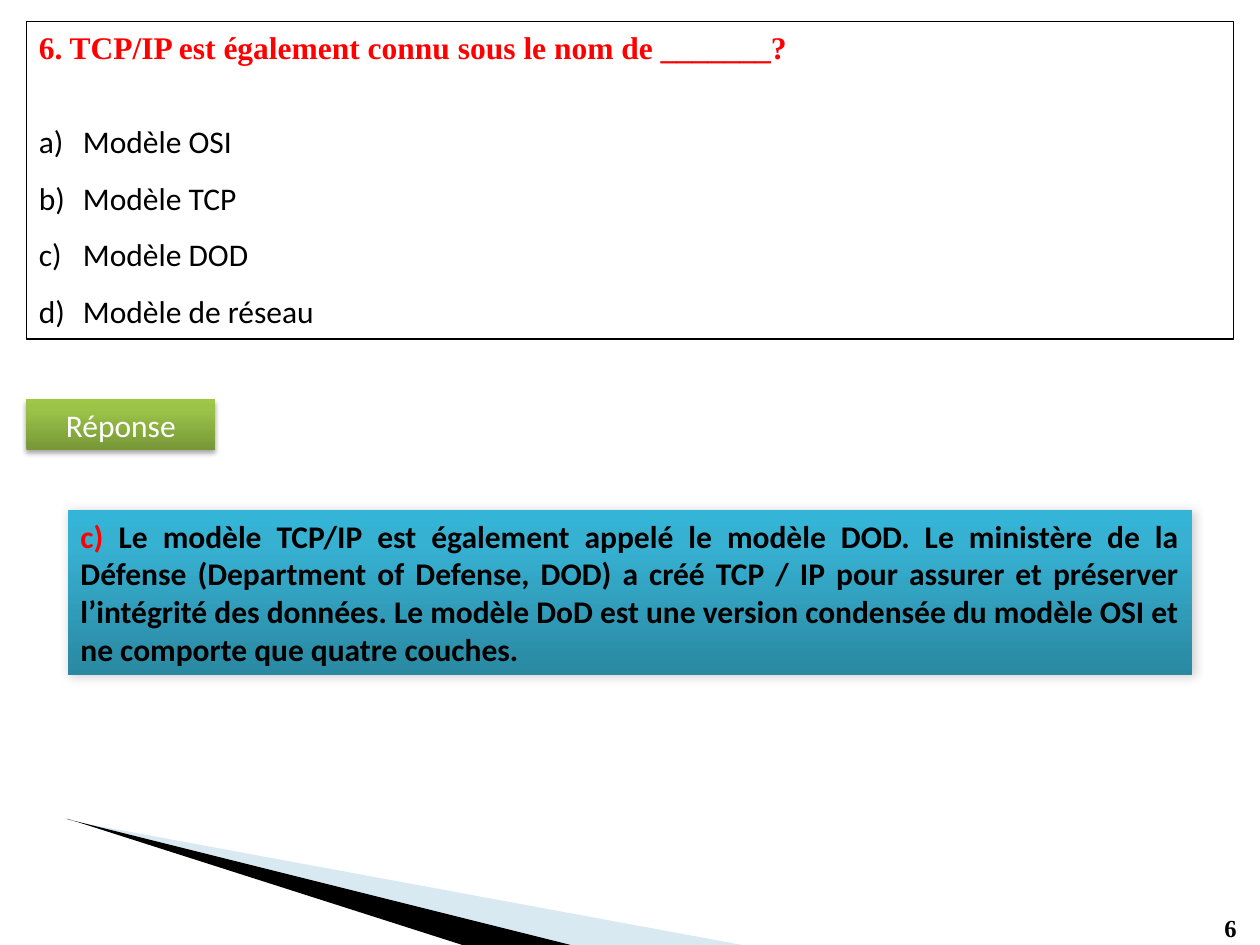
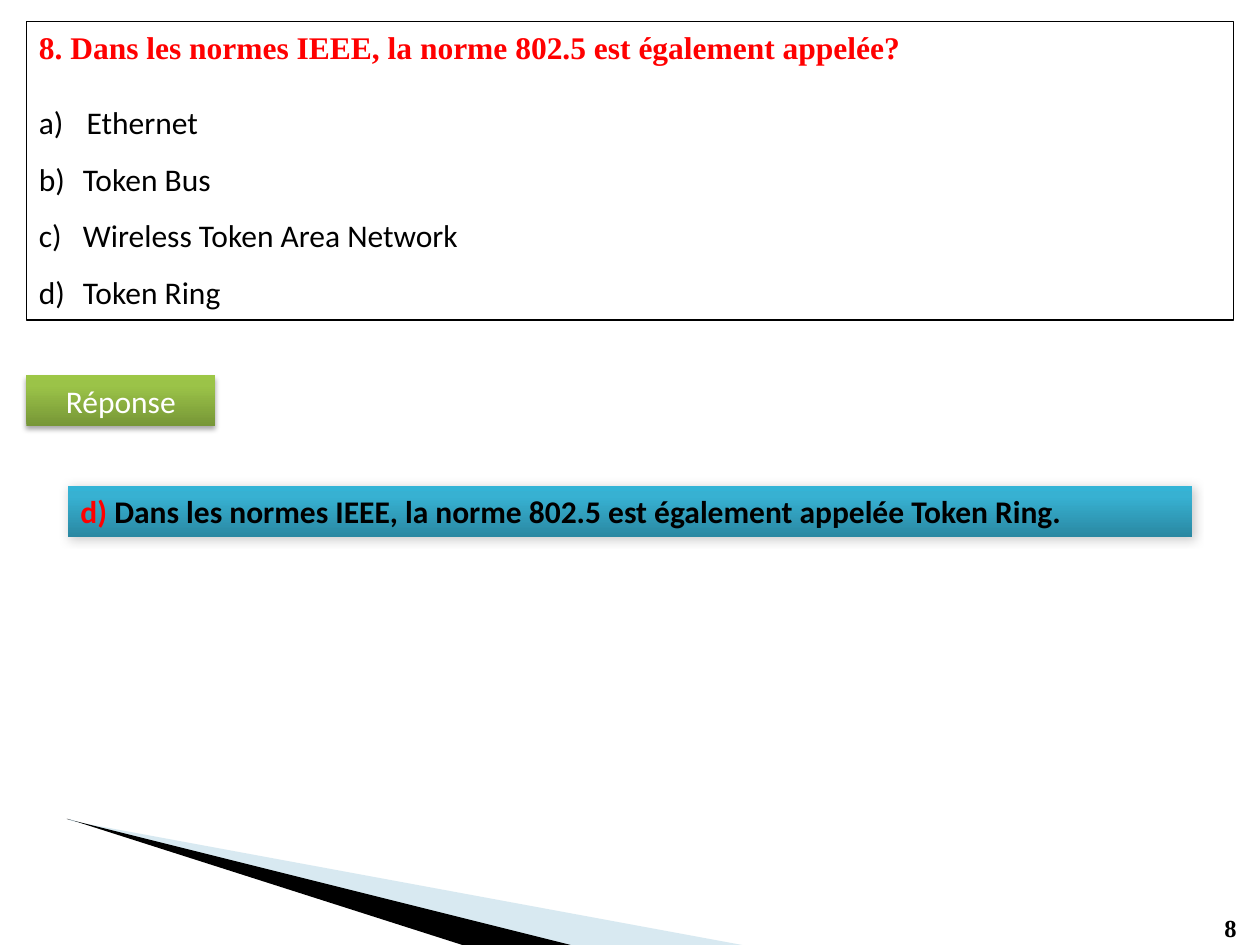
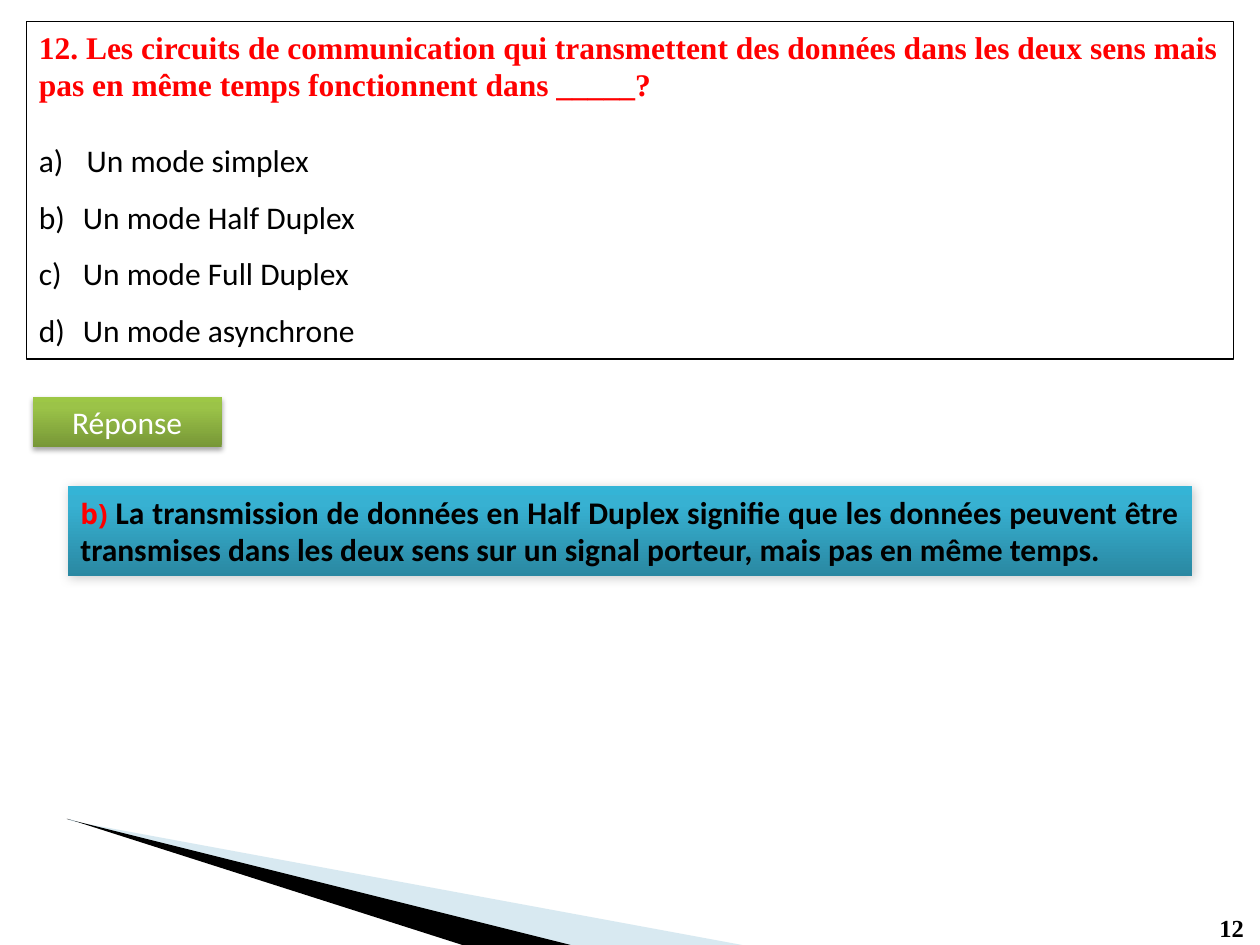
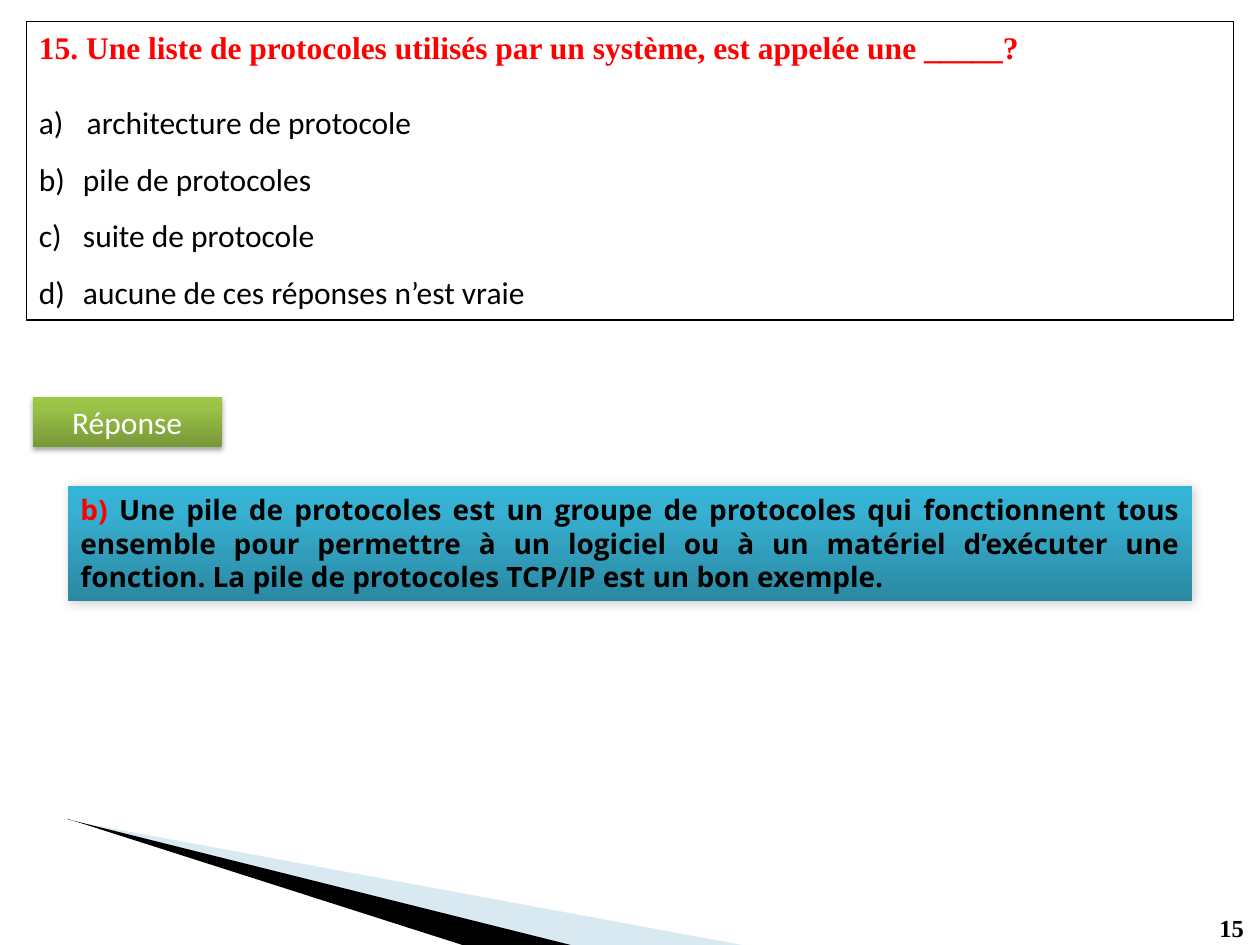
"""Build four network quiz slides, each with a question, a label and an answer."""
import lxml.etree
import pptx
import pptx.dml.color
import pptx.enum.shapes
import pptx.enum.text
import pptx.oxml.ns
import pptx.util

Inches = pptx.util.Inches
Pt = pptx.util.Pt
RGB = pptx.dml.color.RGBColor.from_string
qn = pptx.oxml.ns.qn
SubElement = lxml.etree.SubElement
ALIGN = pptx.enum.text.PP_ALIGN


class Theme:
    black, white, red, pale_blue = "000000", "FFFFFF", "FF0000", "9FCADC"
    green_stops = ((0, "779737"), (80, "9BC348"), (100, "9DC746"))
    blue_stops = ((0, "2A88A2"), (80, "37B1D2"), (100, "34B4D6"))
    label_shadow = {"alpha": 35, "blur": 3.1, "dist": 1.8, "dir": 90}
    answer_shadow = {"alpha": 20, "blur": 6, "dist": 1, "dir": 45}
    serif, sans, alternate = "Times New Roman", "Calibri", "Open Sans"
    body, small, page = 18, 16, 14


QUIZ = [
    {"number": "6", "question": "6. TCP/IP est également connu sous le nom de _______?",
     "choices": ["Modèle OSI", "Modèle TCP", "Modèle DOD", "Modèle de réseau"],
     "first_choice": (0.35, 1.5), "question_height": 2.52,
     "label_at": (0.21, 3.17), "answer_at": (4.05, 1.31),
     "answer": [
         ("c) ", Theme.sans, Theme.body),
         ("Le modèle TCP/IP est également appelé le modèle DOD. Le ministère de la Défense "
          "(Department of Defense, DOD) a créé TCP / IP pour assurer et préserver l’intégrité "
          "des données. Le modèle DoD est une version condensée du modèle OSI et ne comporte "
          "que quatre couches.", Theme.sans, Theme.body)]},
    {"number": "8", "question": "8. Dans les normes IEEE, la norme 802.5 est également appelée?",
     "choices": ["Ethernet", "Token Bus", "Wireless Token Area Network", "Token Ring"],
     "first_choice": (0.38, 1.0), "question_height": 2.37,
     "label_at": (0.21, 2.98), "answer_at": (3.86, 0.4),
     "answer": [
         ("d) ", Theme.sans, Theme.body),
         ("Dans les normes IEEE, la norme 802.5 est également appelée Token Ring.",
          Theme.sans, Theme.body)]},
    {"number": "12",
     "question": "12. Les circuits de communication qui transmettent des données dans les deux "
                 "sens mais pas en même temps fonctionnent dans _____?",
     "choices": ["Un mode simplex", "Un mode Half Duplex", "Un mode Full Duplex",
                 "Un mode asynchrone"],
     "first_choice": (0.38, 1.0), "question_height": 2.68,
     "label_at": (0.26, 3.15), "answer_at": (3.86, 0.71),
     "answer": [
         ("b) ", Theme.alternate, Theme.small),
         ("La transmission de données en Half Duplex signifie que les données peuvent être "
          "transmises dans les deux sens sur un signal porteur, mais pas en même temps.",
          Theme.sans, Theme.body)]},
    {"number": "15",
     "question": "15. Une liste de protocoles utilisés par un système, est appelée une _____?",
     "choices": ["architecture de protocole", "pile de protocoles", "suite de protocole",
                 "aucune de ces réponses n’est vraie"],
     "first_choice": (0.38, 1.0), "question_height": 2.37,
     "label_at": (0.26, 3.15), "answer_at": (3.86, 0.91),
     "answer": [
         ("b) ", Theme.alternate, Theme.small),
         ("Une pile de protocoles est un groupe de protocoles qui fonctionnent tous ensemble "
          "pour permettre à un logiciel ou à un matériel d’exécuter une fonction. La pile de "
          "protocoles TCP/IP est un bon exemple.", Theme.alternate, Theme.small)]},
]

WEDGES = [
    (Theme.pale_blue, 40, [(0.55, 6.5), (0.55, 6.51), (4.51, 7.5), (5.89, 7.5), (0.64, 6.53)]),
    (Theme.black, 100, [(0.53, 6.5), (0.54, 6.5), (3.67, 7.5), (4.53, 7.5)]),
]


def add_run(paragraph, text, font, size, color, bold=False):
    run = paragraph.add_run()
    run.text = text
    run.font.name = font
    run.font.size = Pt(size)
    run.font.bold = bold
    run.font.color.rgb = RGB(color)


def add_box(slide, left, top, width, height, stops=None, shadow=None):
    box = slide.shapes.add_shape(pptx.enum.shapes.MSO_SHAPE.RECTANGLE, Inches(left),
                                 Inches(top), Inches(width), Inches(height))
    box.shadow.inherit = False
    box.text_frame.word_wrap = True
    box.text_frame.auto_size = pptx.enum.text.MSO_AUTO_SIZE.SHAPE_TO_FIT_TEXT
    box.text_frame.vertical_anchor = pptx.enum.text.MSO_ANCHOR.TOP
    if not stops:
        box.fill.background()
        box.line.color.rgb = RGB(Theme.black)
        box.line.width = Pt(0.75)
        return box
    box.line.fill.background()
    box.fill.gradient()
    box.fill.gradient_angle = 90
    properties = box.element.spPr
    stop_list = properties.find(qn("a:gradFill")).find(qn("a:gsLst"))
    for default_stop in list(stop_list):
        stop_list.remove(default_stop)
    for position, color in stops:
        stop = SubElement(stop_list, qn("a:gs"), pos=str(position * 1000))
        SubElement(stop, qn("a:srgbClr"), val=color)
    outer = SubElement(properties.find(qn("a:effectLst")), qn("a:outerShdw"),
                       blurRad=str(Pt(shadow["blur"])), dist=str(Pt(shadow["dist"])),
                       dir=str(shadow["dir"] * 60000), rotWithShape="0")
    shade = SubElement(outer, qn("a:srgbClr"), val=Theme.black)
    SubElement(shade, qn("a:alpha"), val=str(shadow["alpha"] * 1000))
    return box


deck = pptx.Presentation()
deck.slide_width, deck.slide_height = Inches(10), Inches(7.5)
blank = deck.slide_layouts[6]
slides = [deck.slides.add_slide(blank) for _ in QUIZ]

for color, opacity, points in WEDGES:
    corners = [(Inches(x), Inches(y)) for x, y in points]
    outline = slides[0].shapes.build_freeform(*corners[0], scale=1.0)
    outline.add_line_segments(corners[1:], close=True)
    wedge = outline.convert_to_shape()
    wedge.shadow.inherit = False
    wedge.line.fill.background()
    wedge.fill.solid()
    wedge.fill.fore_color.rgb = RGB(color)
    if opacity < 100:
        tint = wedge.element.spPr.find(qn("a:solidFill")).find(qn("a:srgbClr"))
        SubElement(tint, qn("a:alpha"), val=str(opacity * 1000))
    blank.shapes.element.append(wedge.element)

for slide, quiz in zip(slides, QUIZ):
    number_width = 0.36 if len(quiz["number"]) == 1 else 0.4
    page_number = slide.shapes.add_textbox(Inches(9.98 - number_width), Inches(7.2),
                                           Inches(number_width), Inches(0.34))
    page_number.text_frame.word_wrap = False
    add_run(page_number.text_frame.paragraphs[0], quiz["number"],
            Theme.serif, Theme.page, Theme.black, True)

    question = add_box(slide, 0.21, 0.17, 9.58, quiz["question_height"]).text_frame
    heading = question.paragraphs[0]
    heading.alignment = ALIGN.LEFT
    add_run(heading, quiz["question"], Theme.serif, Theme.body, Theme.red, True)
    for index, choice in enumerate(quiz["choices"]):
        indent, spacing = (0.35, 1.5) if index else quiz["first_choice"]
        option = question.add_paragraph()
        option.alignment = ALIGN.LEFT
        layout = option._p.get_or_add_pPr()
        layout.set("marL", str(Inches(indent)))
        layout.set("indent", str(Inches(-0.38)))
        SubElement(layout, qn("a:buFont"), typeface="+mj-lt")
        SubElement(layout, qn("a:buAutoNum"), type="alphaLcParenR")
        option.line_spacing = spacing
        if index == 0:
            option.space_before = Pt(21.5)
        add_run(option, choice, Theme.sans, Theme.body, Theme.black)

    label = add_box(slide, *quiz["label_at"], 1.5, 0.4, Theme.green_stops, Theme.label_shadow)
    caption = label.text_frame.paragraphs[0]
    caption.alignment = ALIGN.CENTER
    add_run(caption, "Réponse", Theme.sans, Theme.body, Theme.white)

    answer_top, answer_height = quiz["answer_at"]
    answer = add_box(slide, 0.54, answer_top, 8.92, answer_height,
                     Theme.blue_stops, Theme.answer_shadow)
    explanation = answer.text_frame.paragraphs[0]
    explanation.alignment = ALIGN.JUSTIFY
    for (text, font, size), color in zip(quiz["answer"], (Theme.red, Theme.black)):
        add_run(explanation, text, font, size, color, True)

deck.save("out.pptx")
